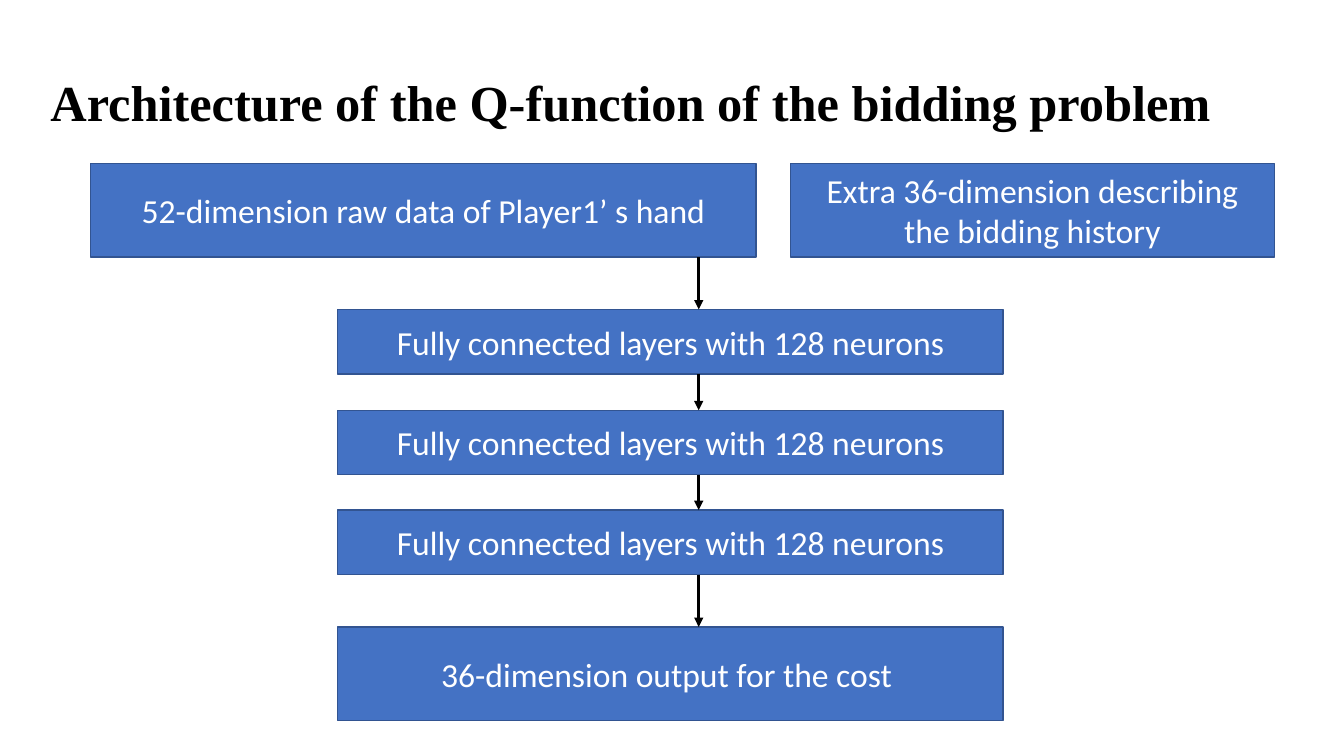
"""Build a slide showing the layers of the bidding Q-function network."""
from dataclasses import dataclass

from lxml import etree
from pptx import Presentation
from pptx.dml.color import RGBColor
from pptx.enum.shapes import MSO_CONNECTOR, MSO_SHAPE
from pptx.enum.text import MSO_ANCHOR, MSO_AUTO_SIZE, PP_ALIGN
from pptx.oxml.ns import qn
from pptx.util import Inches, Pt

RECTANGLE = MSO_SHAPE.RECTANGLE
STRAIGHT = MSO_CONNECTOR.STRAIGHT
LEFT, CENTER = PP_ALIGN.LEFT, PP_ALIGN.CENTER
TOP, MIDDLE = MSO_ANCHOR.TOP, MSO_ANCHOR.MIDDLE
NO_AUTO_SIZE = MSO_AUTO_SIZE.NONE


@dataclass(frozen=True)
class Theme:
    box_fill: RGBColor = RGBColor(0x44, 0x72, 0xC4)
    box_line: RGBColor = RGBColor(0x32, 0x54, 0x91)
    box_text: RGBColor = RGBColor(0xFF, 0xFF, 0xFF)
    ink: RGBColor = RGBColor(0x00, 0x00, 0x00)
    title_font: str = "Times New Roman"
    box_font: str = "Calibri"
    title_size: Pt = Pt(36)
    box_size: Pt = Pt(24)


theme = Theme()


def add_run(paragraph, text, name, size, color, bold=False):
    run = paragraph.add_run()
    run.text = text
    run.font.name = name
    run.font.size = size
    run.font.bold = bold
    run.font.color.rgb = color


presentation = Presentation()
presentation.slide_width = Inches(13.33)
presentation.slide_height = Inches(7.5)
slide = presentation.slides.add_slide(presentation.slide_layouts[5])

title = slide.shapes.title
title.left, title.top = Inches(0.4), Inches(0.66)
title.width, title.height = Inches(12.51), Inches(0.71)
title.text_frame.word_wrap = True
title.text_frame.auto_size = NO_AUTO_SIZE
title.text_frame.vertical_anchor = TOP
title_paragraph = title.text_frame.paragraphs[0]
title_paragraph.alignment = LEFT
add_run(title_paragraph, "Architecture of the Q-function of the bidding problem",
        theme.title_font, theme.title_size, theme.ink, bold=True)

wide, narrow = 6.6, 4.8
tall, short = 0.93, 0.64
input_top, output_top = 1.62, 6.22
stack_left = 3.35
layer_tops = [3.07, 4.07, 5.06]

boxes = [
    ("52-dimension raw data of Player1’ s hand", 0.9, input_top, wide, tall),
    ("Extra 36-dimension describing the bidding history", 7.84, input_top, narrow, tall),
]
for layer_top in layer_tops:
    boxes.append(("Fully connected layers with 128 neurons", stack_left, layer_top, wide, short))
boxes.append(("36-dimension output for the cost ", stack_left, output_top, wide, tall))

for text, left, top, width, height in boxes:
    shape = slide.shapes.add_shape(
        RECTANGLE, Inches(left), Inches(top), Inches(width), Inches(height))
    shape.shadow.inherit = False
    shape.fill.solid()
    shape.fill.fore_color.rgb = theme.box_fill
    shape.line.color.rgb = theme.box_line
    shape.line.width = Pt(1)
    shape.text_frame.word_wrap = True
    shape.text_frame.vertical_anchor = MIDDLE
    paragraph = shape.text_frame.paragraphs[0]
    paragraph.alignment = CENTER
    add_run(paragraph, text, theme.box_font, theme.box_size, theme.box_text)

arrow_x = Inches(6.93)
arrow_starts = [input_top + tall] + [layer_top + short for layer_top in layer_tops]
arrow_ends = layer_tops + [output_top]
for start, end in zip(arrow_starts, arrow_ends):
    arrow = slide.shapes.add_connector(
        STRAIGHT, arrow_x, Inches(start), arrow_x, Inches(end))
    arrow.line.color.rgb = theme.ink
    arrow.line.width = Pt(2.25)
    etree.SubElement(arrow.line._get_or_add_ln(), qn("a:tailEnd"), type="triangle")
    etree.SubElement(arrow._element.spPr, qn("a:effectLst"))

presentation.save("out.pptx")
